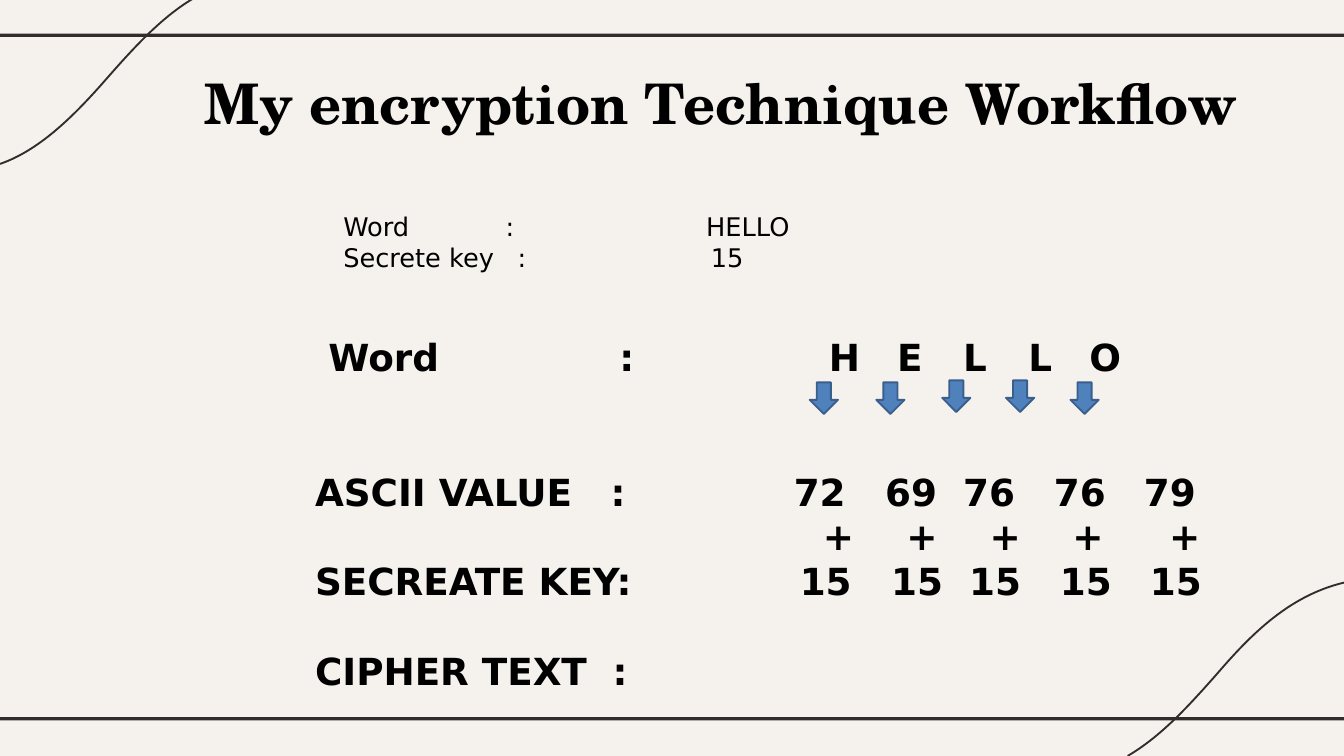
import dataclasses

import lxml.etree
import pptx
import pptx.dml.color
import pptx.enum.shapes
import pptx.enum.text
import pptx.oxml.ns
import pptx.util

WIDTH, HEIGHT = pptx.util.Inches(20.01), pptx.util.Inches(11.26)
COLUMN, ROW = WIDTH / 20, HEIGHT / 11.25


@dataclasses.dataclass(frozen=True)
class Theme:
    paper: str = "F5F2EE"
    ink: str = "332C2C"
    text: str = "000000"
    arrow: str = "4F81BD"
    arrow_edge: str = "3A5F8C"
    title_font: str = "TeX Gyre Schola"
    body_font: str = "DejaVu Sans"
    title_size: float = 60
    step_size: float = 40
    step_pitch: float = 48
    input_size: float = 27.5
    input_pitch: float = 33
    line: float = 2


THEME = Theme()

# Each line: text, rows skipped above it, tab stops as (alignment, column).
INPUTS = [
    ("Word\t:\tHELLO", 0, [("ctr", 2.48), ("l", 5.4)]),
    ("Secrete key\t:\t15", 0, [("ctr", 2.66), ("l", 5.47)]),
]


def centred(*columns):
    return [("ctr", column) for column in columns]


ASCII_COLUMNS = (7.51, 8.87, 10.03, 11.38, 12.72)
KEY_COLUMNS = [column + 0.09 for column in ASCII_COLUMNS]
LETTER_COLUMNS = [7.88 + 0.97 * index for index in range(5)]
PLUS_COLUMNS = (7.79, 9.03, 10.27, 11.5, 12.94)
STEPS = [
    ("\tWord\t:\tH\tE\tL\tL\tO", 0, [("l", 0.2)] + centred(4.64, *LETTER_COLUMNS)),
    ("ASCII VALUE\t:\t72\t69\t76\t76\t79", 2, centred(4.51, *ASCII_COLUMNS)),
    ("\t+\t+\t+\t+\t+", 0, centred(*PLUS_COLUMNS)),
    ("SECREATE KEY:\t15\t15\t15\t15\t15", 0, centred(*KEY_COLUMNS)),
    ("CIPHER TEXT\t:", 1, centred(4.54)),
]
ARROWS = [(12.05, 5.69), (13.04, 5.69), (14.02, 5.66), (14.97, 5.66), (15.93, 5.69)]

# Each curve: a start, then two controls and an end for every cubic piece.
TOP_CURVE = [(3, -0.09), (2.43, 0.2), (1.94, 0.77), (1.5, 1.27),
             (1.08, 1.74), (0.58, 2.24), (0, 2.44)]
BOTTOM_CURVE = [(20, 8.67), (19.2, 8.86), (18.63, 9.42), (18.1, 10.04),
                (17.7, 10.49), (17.29, 10.95), (16.78, 11.25)]


def grid(column, row):
    return round(column * COLUMN), round(row * ROW)


def color(value):
    return pptx.dml.color.RGBColor.from_string(value)


def format_runs(para, font, size, bold):
    for span in para.runs:
        span.font.name = font
        span.font.size = pptx.util.Pt(size)
        span.font.bold = bold
        span.font.color.rgb = color(THEME.text)


def set_tabs(para, stops):
    tag = pptx.oxml.ns.qn
    tabs = lxml.etree.SubElement(para._p.get_or_add_pPr(), tag("a:tabLst"))
    for align, column in stops:
        lxml.etree.SubElement(tabs, tag("a:tab"), pos=str(round(column * COLUMN)), algn=align)


def add_title(page, text):
    box = page.shapes.title
    box.left, box.top = grid(2.51, 0.97)
    box.width, box.height = grid(16.42, 1.11)
    frame = box.text_frame
    frame.text = text
    frame.auto_size = pptx.enum.text.MSO_AUTO_SIZE.NONE
    frame.vertical_anchor = pptx.enum.text.MSO_ANCHOR.TOP
    frame.paragraphs[0].alignment = pptx.enum.text.PP_ALIGN.CENTER
    format_runs(frame.paragraphs[0], THEME.title_font, THEME.title_size, True)


def add_lines(page, position, extent, lines, size, pitch, bold):
    """Add a text box whose lines are set out with tab stops."""
    frame = page.shapes.add_textbox(*grid(*position), *grid(*extent)).text_frame
    frame.word_wrap = True
    for index, (text, skipped, stops) in enumerate(lines):
        para = frame.add_paragraph() if index else frame.paragraphs[0]
        para.text = text
        para.line_spacing = pptx.util.Pt(pitch)
        para.space_before = pptx.util.Pt(pitch * skipped)
        set_tabs(para, stops)
        format_runs(para, THEME.body_font, size, bold)


def add_filled(page, kind, position, extent, fill, edge=None):
    shape = page.shapes.add_shape(kind, *grid(*position), *grid(*extent))
    shape.shadow.inherit = False
    shape.fill.solid()
    shape.fill.fore_color.rgb = color(fill)
    if edge:
        shape.line.color.rgb = color(edge)
        shape.line.width = pptx.util.Pt(THEME.line)
    else:
        shape.line.fill.background()


def bezier(controls, share):
    """Return the point at the given share of a cubic curve."""
    rest = 1 - share
    weights = (rest ** 3, 3 * rest ** 2 * share, 3 * rest * share ** 2, share ** 3)
    return tuple(sum(w * v for w, v in zip(weights, axis)) for axis in zip(*controls))


def add_curve(page, points, samples=30):
    builder = page.shapes.build_freeform(*grid(*points[0]))
    for start in range(0, len(points) - 1, 3):
        piece = points[start:start + 4]
        builder.add_line_segments(
            [grid(*bezier(piece, step / samples)) for step in range(1, samples + 1)],
            close=False)
    curve = builder.convert_to_shape()
    curve.shadow.inherit = False
    curve.fill.background()
    curve.line.color.rgb = color(THEME.ink)
    curve.line.width = pptx.util.Pt(THEME.line)


def main():
    deck = pptx.Presentation()
    deck.slide_width, deck.slide_height = WIDTH, HEIGHT
    page = deck.slides.add_slide(deck.slide_layouts[5])
    page.background.fill.solid()
    page.background.fill.fore_color.rgb = color(THEME.paper)

    kinds = pptx.enum.shapes.MSO_SHAPE
    for curve in (BOTTOM_CURVE, TOP_CURVE):
        add_curve(page, curve)
    for row in (0.5, 10.67):
        add_filled(page, kinds.RECTANGLE, (0, row), (20, 0.05), THEME.ink)

    add_title(page, "My encryption Technique Workflow")
    add_lines(page, (5.01, 3.09), (12.92, 2.42), INPUTS,
              THEME.input_size, THEME.input_pitch, False)
    add_lines(page, (4.59, 4.93), (13.67, 4.81), STEPS,
              THEME.step_size, THEME.step_pitch, True)
    for position in ARROWS:
        add_filled(page, kinds.DOWN_ARROW, position, (0.42, 0.47),
                   THEME.arrow, THEME.arrow_edge)

    deck.save("out.pptx")


if __name__ == "__main__":
    main()
